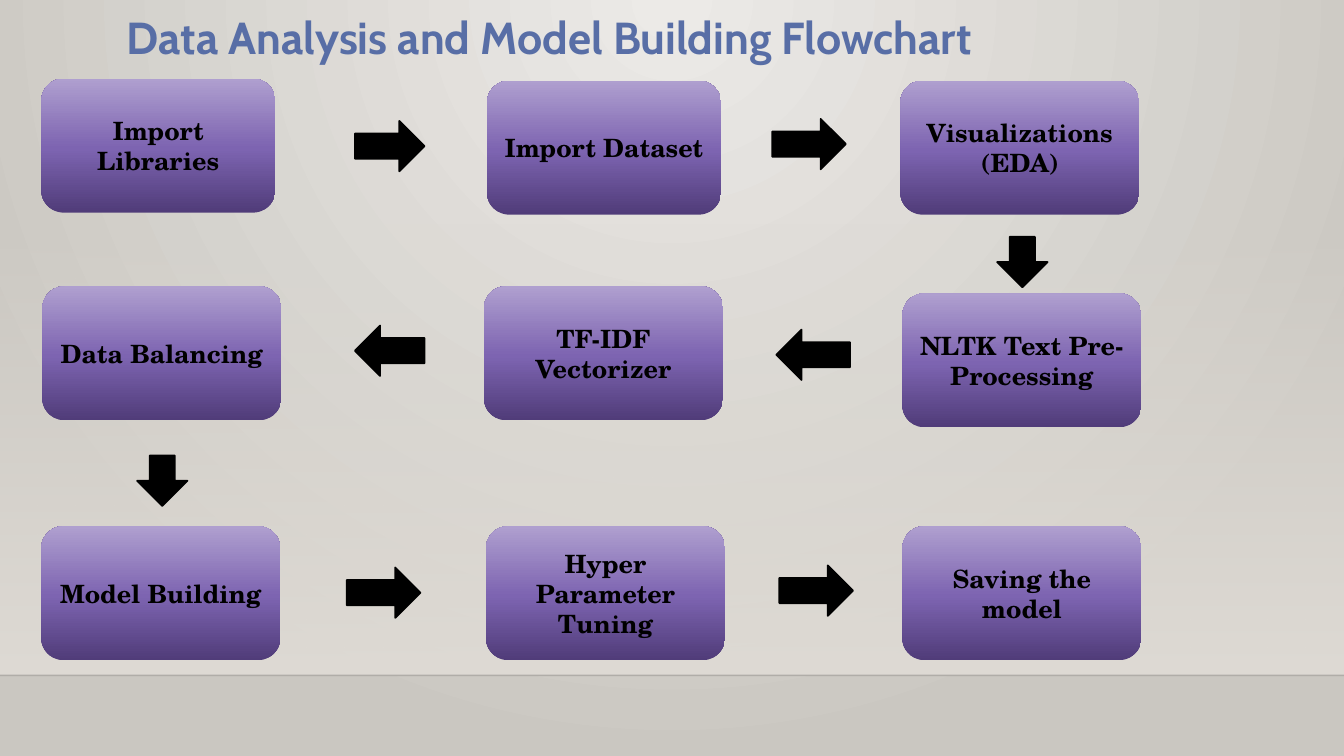
from dataclasses import dataclass

from pptx import Presentation, util as u
from pptx.dml.color import RGBColor
from pptx.enum import shapes, text
from pptx.oxml import parse_xml
from pptx.oxml.ns import nsdecls, qn


@dataclass(frozen=True)
class Theme:
    title_font: str = "Cabin"
    box_font: str = "TeX Gyre Schola"
    title_size: int = 32
    box_size: int = 18
    title: str = "586EA6"
    ink: str = "000000"
    # Gradient stops: position, colour, opacity (percent)
    backdrop: tuple = ((0, "ECEAE7", 100), (100, "CAC7C1", 100))
    wall: tuple = ((0, "DFDBD5", 0), (100, "DFDBD5", 100))
    box: tuple = ((0, "503C79", 100), (48, "7D64B1", 100), (100, "AF9FCF", 100))


RADIAL = '<a:path path="circle"><a:fillToRect l="43000" t="0" r="43000" b="100000"/></a:path>'
BOX_HEIGHT = 1.33
ARROW_WEIGHT = 0.5


def linear(angle):
    return f'<a:lin ang="{angle * 60000}" scaled="0"/>'


def set_gradient(fill, element, stops, direction):
    fill.gradient()
    grad = element.find(".//" + qn("a:gradFill"))
    stop_xml = "".join(
        f'<a:gs pos="{pos * 1000}"><a:srgbClr val="{color}">'
        f'<a:alpha val="{alpha * 1000}"/></a:srgbClr></a:gs>'
        for pos, color, alpha in stops)
    grad.getparent().replace(grad, parse_xml(
        f'<a:gradFill {nsdecls("a")} rotWithShape="1">'
        f'<a:gsLst>{stop_xml}</a:gsLst>{direction}</a:gradFill>'))


class FlowSlide:
    def __init__(self, prs, theme):
        self.theme = theme
        self.slide = prs.slides.add_slide(prs.slide_layouts[5])

    def background(self):
        set_gradient(self.slide.background.fill, self.slide.element,
                     self.theme.backdrop, RADIAL)

    def shape(self, kind, x, y, w, h):
        sp = self.slide.shapes.add_shape(kind, *map(u.Inches, (x, y, w, h)))
        sp.shadow.inherit = False
        return sp

    def wall(self, x, y, w, h):
        sp = self.shape(shapes.MSO_SHAPE.RECTANGLE, x, y, w, h)
        set_gradient(sp.fill, sp.element, self.theme.wall, linear(90))
        sp.line.fill.background()

    def floor_line(self, y, width):
        line = self.slide.shapes.add_connector(
            shapes.MSO_CONNECTOR.STRAIGHT, 0, u.Inches(y), u.Inches(width), u.Inches(y))
        line.line.width = u.Pt(1)
        line.line.color.rgb = RGBColor.from_string(self.theme.ink)
        color = line.element.spPr.find(".//" + qn("a:srgbClr"))
        color.append(parse_xml(f'<a:alpha {nsdecls("a")} val="20000"/>'))
        line.element.spPr.append(parse_xml(f'<a:effectLst {nsdecls("a")}/>'))

    def style(self, p, font, size, color):
        p.alignment = text.PP_ALIGN.CENTER
        p.font.name, p.font.size, p.font.bold = font, u.Pt(size), True
        p.font.color.rgb = RGBColor.from_string(color)

    def title(self, words, x, y, w, h):
        sp = self.slide.shapes.title
        sp.left, sp.top, sp.width, sp.height = map(u.Inches, (x, y, w, h))
        tf = sp.text_frame
        tf.text = words
        tf.word_wrap = True
        tf.auto_size = text.MSO_AUTO_SIZE.NONE
        tf.vertical_anchor = text.MSO_ANCHOR.TOP
        self.style(tf.paragraphs[0], self.theme.title_font,
                   self.theme.title_size, self.theme.title)

    def box(self, words, x, y, w):
        sp = self.shape(shapes.MSO_SHAPE.FLOWCHART_ALTERNATE_PROCESS, x, y, w, BOX_HEIGHT)
        set_gradient(sp.fill, sp.element, self.theme.box, linear(270))
        sp.line.fill.background()
        tf = sp.text_frame
        tf.text = words
        tf.word_wrap = True
        tf.vertical_anchor = text.MSO_ANCHOR.MIDDLE
        for p in tf.paragraphs:
            self.style(p, self.theme.box_font, self.theme.box_size, self.theme.ink)

    def arrow(self, direction, x, y, length):
        sp = self.shape(shapes.MSO_SHAPE[f"{direction}_ARROW"], x, y, length, ARROW_WEIGHT)
        color = RGBColor.from_string(self.theme.ink)
        sp.fill.solid()
        sp.fill.fore_color.rgb = color
        sp.line.color.rgb = color
        sp.line.width = u.Pt(1.25)


# Steps in reading order: words, left, top, width
STEPS = [
    ("Import Libraries", 0.41, 0.78, 2.32),
    ("Import Dataset", 4.83, 0.8, 2.32),
    ("Visualizations\n(EDA)", 8.93, 0.8, 2.37),
    ("NLTK Text Pre-Processing", 8.95, 2.91, 2.37),
    ("TF-IDF Vectorizer", 4.8, 2.84, 2.37),
    ("Data Balancing", 0.42, 2.84, 2.37),
    ("Model Building", 0.41, 5.22, 2.37),
    ("Hyper Parameter Tuning", 4.82, 5.22, 2.37),
    ("Saving the model", 8.95, 5.22, 2.37),
]

# Arrows between steps: direction, left, top, length
ARROWS = [
    ("RIGHT", 3.52, 1.2, 0.69),
    ("RIGHT", 7.66, 1.18, 0.73),
    ("DOWN", 9.89, 2.35, 0.5),
    ("LEFT", 7.7, 3.27, 0.73),
    ("LEFT", 3.52, 3.23, 0.69),
    ("DOWN", 1.36, 4.52, 0.5),
    ("RIGHT", 3.44, 5.63, 0.73),
    ("RIGHT", 7.73, 5.61, 0.73),
]


def main():
    prs = Presentation()
    prs.slide_width, prs.slide_height = u.Inches(13.33), u.Inches(7.5)
    flow = FlowSlide(prs, Theme())

    # Backdrop
    flow.background()
    flow.wall(0, 2.21, 13.33, 4.49)
    flow.floor_line(6.7, 13.33)

    # Title
    flow.title("Data Analysis and Model Building Flowchart", 0, 0.05, 10.9, 0.94)

    # Flowchart
    for step in STEPS:
        flow.box(*step)
    for arrow in ARROWS:
        flow.arrow(*arrow)

    prs.save("out.pptx")


if __name__ == "__main__":
    main()
